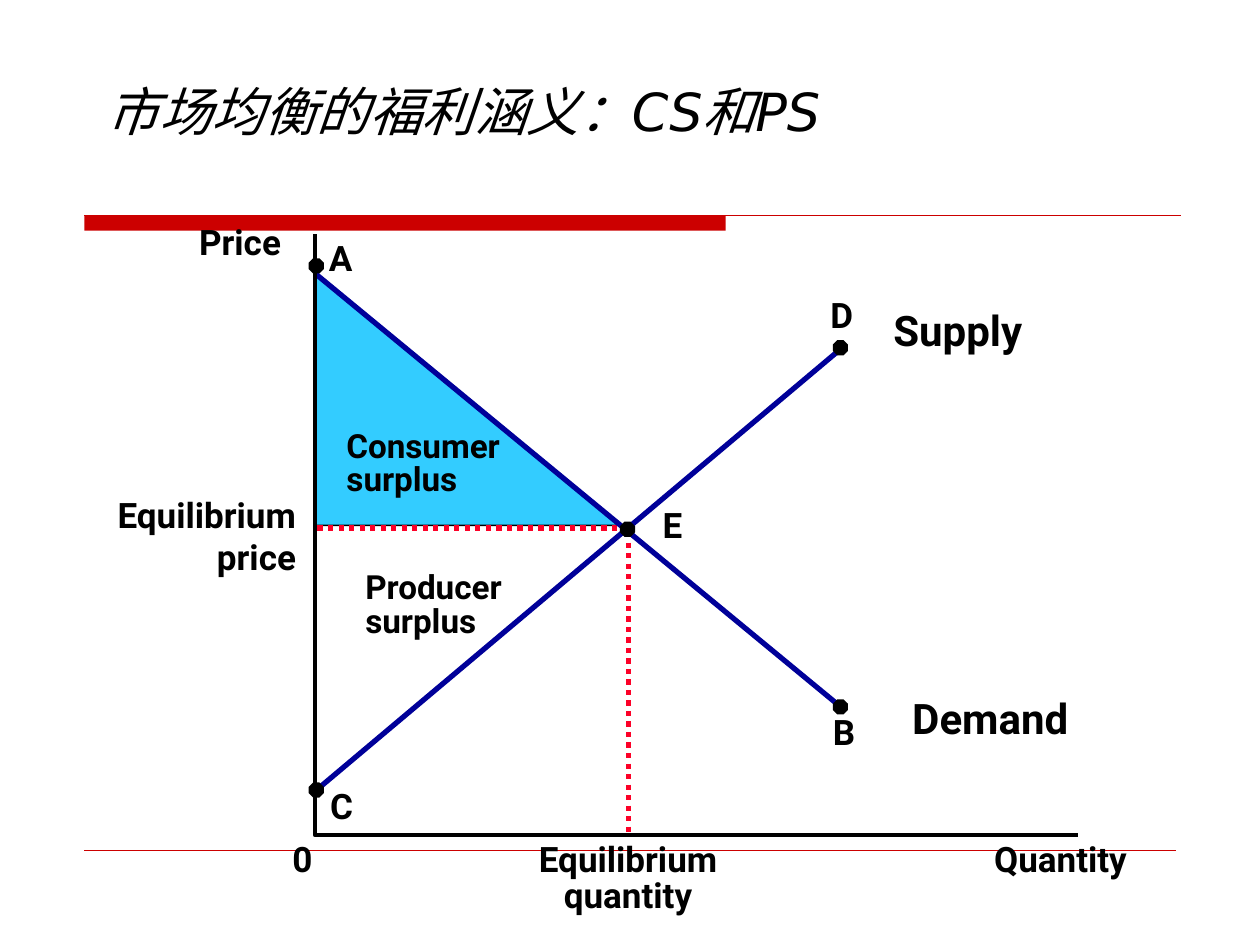
from dataclasses import dataclass
from typing import Optional

from pptx import Presentation
from pptx.dml.color import RGBColor
from pptx.enum.dml import MSO_LINE
from pptx.enum.shapes import MSO_CONNECTOR, MSO_SHAPE
from pptx.enum.text import MSO_ANCHOR, PP_ALIGN
from pptx.oxml.ns import qn
from pptx.util import Inches, Pt
from lxml.etree import SubElement

Point = tuple[float, float]


@dataclass(frozen=True)
class Theme:
    ink: RGBColor = RGBColor(0x00, 0x00, 0x00)
    paper: RGBColor = RGBColor(0xFF, 0xFF, 0xFF)
    accent: RGBColor = RGBColor(0xCC, 0x00, 0x00)
    curve: RGBColor = RGBColor(0x00, 0x00, 0x99)
    guide: RGBColor = RGBColor(0xFC, 0x01, 0x28)
    surplus: RGBColor = RGBColor(0x33, 0xCC, 0xFF)
    title_font: str = "DejaVu Sans"
    label_font: str = "Roboto"
    title_size: float = 30
    curve_size: float = 24
    label_size: float = 20
    area_size: float = 19


THEME = Theme()


@dataclass(frozen=True)
class Label:
    lines: tuple[str, ...]
    left: float
    top: float
    width: float
    height: float = 0.33
    size: float = THEME.label_size
    align: PP_ALIGN = PP_ALIGN.LEFT
    spacing: Optional[float] = None


# Key points of the diagram
A, B, C, D = (2.5, 2.17), (6.66, 5.6), (2.5, 6.28), (6.66, 2.78)
E = (4.99, 4.19)
ORIGIN = (2.5, 6.63)
DOTS = [(2.51, 2.11), (6.67, 5.61), (2.51, 6.27), (6.67, 2.76), (4.98, 4.2)]
DOT_SIZE = 0.12

LABELS = [
    Label(("Price",), 1.58, 1.75, 0.69),
    Label(("Equilibrium", "price"), 0.74, 3.92, 1.61, 0.67, align=PP_ALIGN.RIGHT),
    Label(("0",), 2.32, 6.65, 0.16),
    Label(("Quantity",), 7.89, 6.65, 1.24),
    Label(("Equilibrium", "quantity"), 4.18, 6.7, 1.61, 0.57,
          align=PP_ALIGN.CENTER, spacing=0.85),
    Label(("A",), 2.61, 1.88, 0.19),
    Label(("B",), 6.61, 5.64, 0.19),
    Label(("C",), 2.62, 6.23, 0.18),
    Label(("D",), 6.59, 2.33, 0.21),
    Label(("E",), 5.26, 4, 0.16),
    Label(("Supply",), 7.09, 2.42, 1.12, 0.4, THEME.curve_size),
    Label(("Demand",), 7.24, 5.5, 1.4, 0.4, THEME.curve_size),
    Label(("Producer", "surplus"), 2.9, 4.54, 1.2, 0.54, THEME.area_size, spacing=0.85),
    Label(("Consumer", "surplus"), 2.75, 3.42, 1.34, 0.54, THEME.area_size, spacing=0.85),
]


def paint(shape, fill: Optional[RGBColor], line: Optional[RGBColor] = None,
          weight: float = 1) -> None:
    shape.shadow.inherit = False
    if fill is None:
        shape.fill.background()
    else:
        shape.fill.solid()
        shape.fill.fore_color.rgb = fill
    if line is None:
        shape.line.fill.background()
    else:
        shape.line.color.rgb = line
        shape.line.width = Pt(weight)


def add_preset(slide, kind: MSO_SHAPE, left: float, top: float, width: float, height: float):
    return slide.shapes.add_shape(
        kind, Inches(left), Inches(top), Inches(width), Inches(height))


def add_path(slide, points: list[Point], close: bool = False):
    start, *rest = [(Inches(x), Inches(y)) for x, y in points]
    builder = slide.shapes.build_freeform(*start)
    builder.add_line_segments(rest, close=close)
    return builder.convert_to_shape()


def add_line(slide, start: Point, end: Point, color: RGBColor, weight: float) -> None:
    line = slide.shapes.add_connector(
        MSO_CONNECTOR.STRAIGHT, *(Inches(value) for value in start + end))
    line.line.color.rgb = color
    line.line.width = Pt(weight)
    SubElement(line._element.spPr, qn("a:effectLst"))


def add_label(slide, label: Label) -> None:
    frame = slide.shapes.add_textbox(
        Inches(label.left), Inches(label.top),
        Inches(label.width), Inches(label.height)).text_frame
    frame.margin_left = frame.margin_right = frame.margin_top = frame.margin_bottom = 0
    frame.word_wrap = False
    frame.text = "\n".join(label.lines)
    for paragraph in frame.paragraphs:
        paragraph.alignment = label.align
        paragraph.line_spacing = label.spacing
        paragraph.font.name = THEME.label_font
        paragraph.font.size = Pt(label.size)
        paragraph.font.bold = True
        paragraph.font.color.rgb = THEME.ink


def add_title(slide, text: str) -> None:
    frame = slide.shapes.add_textbox(
        Inches(0.75), Inches(0.25), Inches(8.92), Inches(1.25)).text_frame
    frame.word_wrap = True
    frame.vertical_anchor = MSO_ANCHOR.MIDDLE
    paragraph = frame.paragraphs[0]
    paragraph.text = text
    paragraph.font.name = THEME.title_font
    paragraph.font.size = Pt(THEME.title_size)
    paragraph.font.italic = True
    paragraph.font.color.rgb = THEME.ink


def main() -> None:
    deck = Presentation()
    deck.slide_width, deck.slide_height = Inches(10), Inches(7.5)
    slide = deck.slides.add_slide(deck.slide_layouts[6])

    # Title band and footer rule
    paint(add_preset(slide, MSO_SHAPE.RECTANGLE, 0.67, 1.71, 5.09, 0.12), THEME.accent)
    add_line(slide, (0.67, 1.71), (9.37, 1.71), THEME.accent, 1)
    add_line(slide, (0.67, 6.75), (9.33, 6.75), THEME.accent, 0.25)

    # Surplus areas
    consumer_area = add_preset(slide, MSO_SHAPE.RIGHT_TRIANGLE, *A, 2.42, 2)
    paint(consumer_area, THEME.surplus, THEME.ink)
    producer_area = add_path(slide, [E, (C[0], E[1]), C], close=True)
    paint(producer_area, THEME.paper)

    add_title(slide, "市场均衡的福利涵义：CS和PS")

    # Equilibrium guides
    guides = add_path(slide, [(2.52, E[1]), E, (E[0], ORIGIN[1])])
    paint(guides, None, THEME.guide, 3)
    guides.line.dash_style = MSO_LINE.ROUND_DOT

    # Supply and demand curves, then axes
    add_line(slide, C, D, THEME.curve, 3)
    add_line(slide, A, B, THEME.curve, 3)
    axes = add_path(slide, [(ORIGIN[0], 1.86), ORIGIN, (8.56, ORIGIN[1])])
    paint(axes, None, THEME.ink, 2.25)

    # Marked points
    for x, y in DOTS:
        dot = add_preset(slide, MSO_SHAPE.OCTAGON, x - DOT_SIZE / 2, y - DOT_SIZE / 2,
                         DOT_SIZE, DOT_SIZE)
        paint(dot, THEME.ink)

    for label in LABELS:
        add_label(slide, label)

    deck.save("out.pptx")


if __name__ == "__main__":
    main()
